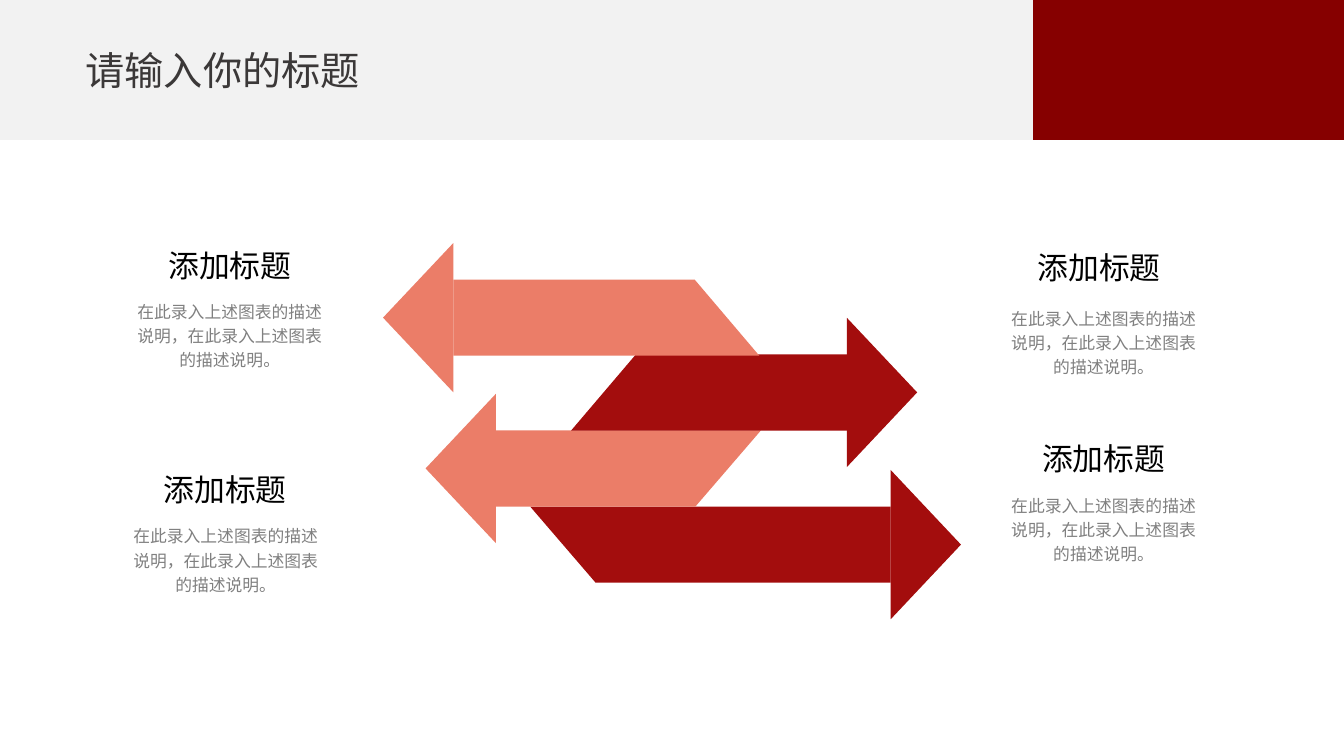
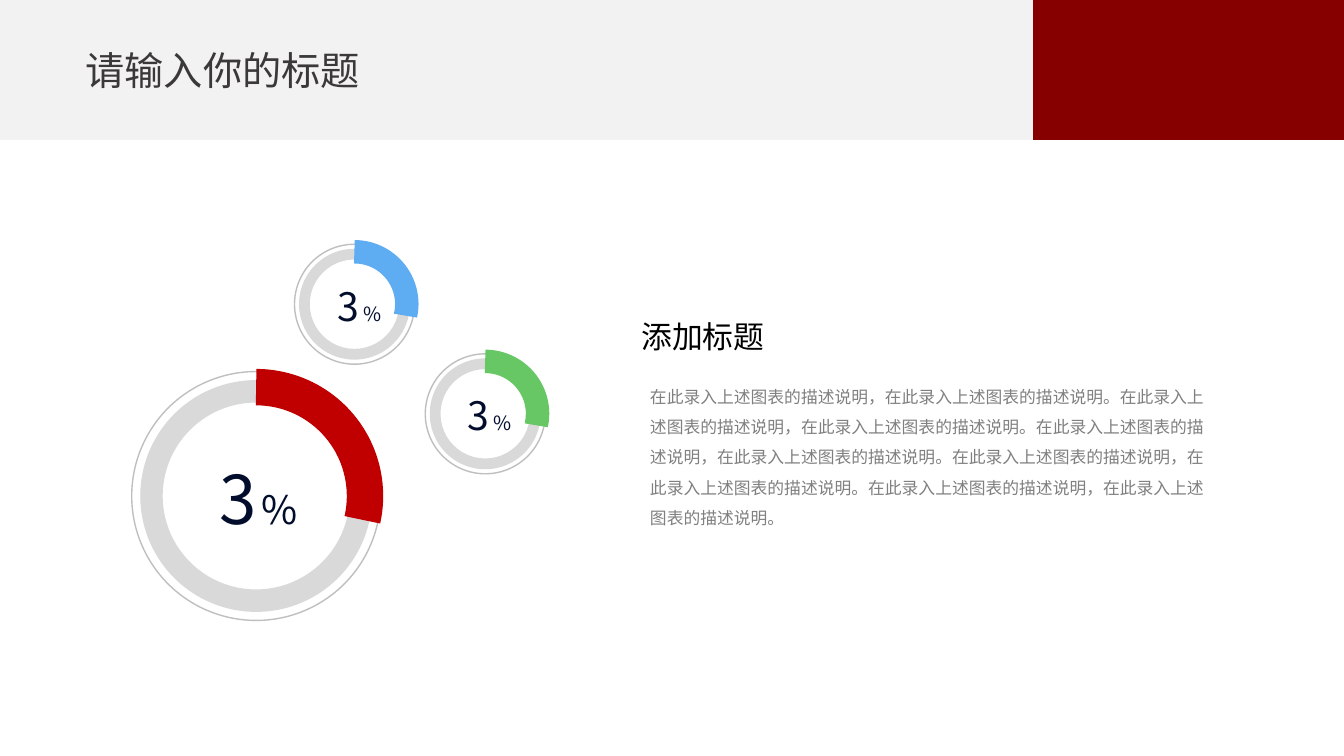
from dataclasses import dataclass

from pptx import Presentation
from pptx.dml.color import RGBColor
from pptx.enum.shapes import MSO_SHAPE
from pptx.enum.text import MSO_ANCHOR, PP_ALIGN
from pptx.oxml.ns import qn
from pptx.util import Pt

COLORS = {
    "band": "F2F2F2",
    "accent": "860000",
    "title": "3B3838",
    "heading": "000000",
    "body": "808080",
    "number": "020D2C",
    "track": "D9D9D9",
    "outline": "BFBFBF",
    "salmon": "EB7D68",
    "crimson": "A30D0D",
    "red": "C00000",
    "blue": "5EACF1",
    "green": "68C765",
}
LATIN_FONT = "Arial"
CHINESE_FONT = "Noto Sans CJK SC"
SLIDE_WIDTH, SLIDE_HEIGHT = 960, 540
BAND_HEIGHT = 100
ACCENT_LEFT = 738
TITLE = "请输入你的标题"
HEADING = "添加标题"
SENTENCE = "在此录入上述图表的描述说明，在此录入上述图表的描述说明。"

BODY_HALF, HEAD_HALF, HEAD_LENGTH = 27.2, 53.3, 50.2


@dataclass(frozen=True)
class Arrow:
    middle: float
    tip: float
    tail_top: float
    tail_bottom: float
    color: str


@dataclass(frozen=True)
class Caption:
    heading_left: float
    heading_top: float
    body_left: float
    body_top: float


@dataclass(frozen=True)
class Gauge:
    center_x: float
    center_y: float
    outline: float
    track: float
    arc: float
    arc_width: float
    color: str
    number_box: tuple[float, float, float, float]
    number_size: float
    percent_size: float


ARROWS = [
    Arrow(226.9, 273.6, 496.2, 542.4, "salmon"),
    Arrow(280.3, 655.1, 454.3, 408, "crimson"),
    Arrow(334.6, 304, 543.6, 496.8, "salmon"),
    Arrow(389, 686.4, 378.7, 425.5, "crimson"),
]
CAPTIONS = [
    Caption(103, 172.8, 86.4, 209.2),
    Caption(99.7, 332.6, 83.5, 369.4),
    Caption(723.9, 174.2, 710.6, 213.8),
    Caption(727.2, 310.6, 710.6, 347.4),
]
GAUGES = [
    Gauge(183, 354.3, 177.8, 165.6, 155.5, 26, "red", (157, 326.9, 79.2, 58.3), 48, 28),
    Gauge(253.2, 217.3, 85.7, 79.2, 74.9, 16.75, "blue", (240.9, 201.6, 38.2, 33.8), 28, 14),
    Gauge(346.6, 295.6, 85.7, 79.2, 74.9, 16.75, "green", (334.1, 279.8, 38.2, 33.8), 28, 14),
]


def rgb(name: str) -> RGBColor:
    return RGBColor.from_string(COLORS[name])


def write_text(box, text: str, *, size: float, color: str, font: str = LATIN_FONT,
               align=PP_ALIGN.LEFT, spacing: float = 1, anchor=MSO_ANCHOR.TOP,
               tracking: float = 0, margins: tuple[float, float] = (7.2, 3.6)):
    frame = box.text_frame
    frame.word_wrap = True
    frame.vertical_anchor = anchor
    frame.margin_left = frame.margin_right = Pt(margins[0])
    frame.margin_top = frame.margin_bottom = Pt(margins[1])
    para = frame.paragraphs[0]
    para.alignment = align
    para.line_spacing = spacing
    span = para.add_run()
    span.text = text
    span.font.size = Pt(size)
    span.font.name = font
    span.font.color.rgb = rgb(color)
    properties = span.font._element
    if tracking:
        properties.set("spc", str(int(tracking * 100)))
    if font == CHINESE_FONT:
        east_asian = properties.makeelement(qn("a:ea"), {"typeface": font})
        properties.find(qn("a:latin")).addnext(east_asian)


def add_text(page, left: float, top: float, width: float, height: float, text: str, **style):
    box = page.shapes.add_textbox(Pt(left), Pt(top), Pt(width), Pt(height))
    write_text(box, text, **style)
    return box


def style_shape(shape, fill: str = "", line: str = "", line_width: float = 1):
    shape.shadow.inherit = False
    if fill:
        shape.fill.solid()
        shape.fill.fore_color.rgb = rgb(fill)
    else:
        shape.fill.background()
    if line:
        shape.line.color.rgb = rgb(line)
        shape.line.width = Pt(line_width)
    else:
        shape.line.fill.background()


def add_centered(page, kind, gauge: Gauge, size: float, **style):
    shape = page.shapes.add_shape(kind, Pt(gauge.center_x - size / 2),
                                  Pt(gauge.center_y - size / 2), Pt(size), Pt(size))
    style_shape(shape, **style)
    return shape


def add_polygon(page, points: list[tuple[float, float]], color: str):
    start, *corners = [(Pt(x), Pt(y)) for x, y in points]
    builder = page.shapes.build_freeform(*start)
    builder.add_line_segments(corners, close=True)
    style_shape(builder.convert_to_shape(), fill=color)


def move_bands_to_layout(page, layout):
    tree = layout.shapes.element
    bands = [(0, SLIDE_WIDTH, "band"), (ACCENT_LEFT, SLIDE_WIDTH - ACCENT_LEFT, "accent")]
    for position, (left, width, color) in enumerate(bands):
        band = page.shapes.add_shape(MSO_SHAPE.RECTANGLE, Pt(left), 0, Pt(width), Pt(BAND_HEIGHT))
        style_shape(band, fill=color)
        tree.insert(2 + position, band.element)


def add_page(deck, layout):
    page = deck.slides.add_slide(layout)
    title = page.shapes.title
    title.left, title.top, title.width, title.height = Pt(54), Pt(29.5), Pt(250), Pt(41)
    write_text(title, TITLE, size=28, color="title", font=CHINESE_FONT, anchor=MSO_ANCHOR.MIDDLE)
    return page


def add_heading(page, left: float, top: float):
    add_text(page, left, top, 122.4, 33.8, HEADING, size=22, color="heading",
             align=PP_ALIGN.CENTER)


def add_arrow(page, arrow: Arrow):
    direction = 1 if arrow.tip < arrow.tail_top else -1
    neck = arrow.tip + direction * HEAD_LENGTH
    middle = arrow.middle
    top, bottom = middle - BODY_HALF, middle + BODY_HALF
    body = [(neck, top), (arrow.tail_top, top), (arrow.tail_bottom, bottom), (neck, bottom)]
    head = [(arrow.tip, middle), (neck, middle - HEAD_HALF), (neck, middle + HEAD_HALF)]
    for points in (body, head):
        add_polygon(page, points, arrow.color)


def add_caption(page, caption: Caption):
    add_heading(page, caption.heading_left, caption.heading_top)
    add_text(page, caption.body_left, caption.body_top, 155.5, 59, SENTENCE, size=12,
             color="body", align=PP_ALIGN.CENTER, spacing=1.2)


def add_gauge(page, gauge: Gauge):
    add_centered(page, MSO_SHAPE.OVAL, gauge, gauge.outline, line="outline")
    track = add_centered(page, MSO_SHAPE.DONUT, gauge, gauge.track, fill="track")
    track.adjustments[0] = 0.097
    number = add_text(page, *gauge.number_box, "3", size=gauge.number_size, color="number",
                      font=CHINESE_FONT, tracking=3, margins=(0, 0))
    write_text(number, "%", size=gauge.percent_size, color="number", font=CHINESE_FONT,
               tracking=3, margins=(0, 0))
    arc = add_centered(page, MSO_SHAPE.ARC, gauge, gauge.arc, line=gauge.color,
                       line_width=gauge.arc_width)
    arc.adjustments[0] = 162
    arc.adjustments[1] = 7.58


def build_arrow_page(page):
    for arrow in reversed(ARROWS):
        add_arrow(page, arrow)
    for caption in CAPTIONS:
        add_caption(page, caption)


def build_gauge_page(page):
    for gauge in GAUGES:
        add_gauge(page, gauge)
    add_heading(page, 440.9, 223.2)
    add_text(page, 457.2, 265.4, 416.9, 133.2, SENTENCE * 5, size=12, color="body", spacing=1.5)


def main():
    deck = Presentation()
    deck.slide_width, deck.slide_height = Pt(SLIDE_WIDTH), Pt(SLIDE_HEIGHT)
    layout = deck.slide_layouts.get_by_name("Title Only")
    arrow_page = add_page(deck, layout)
    move_bands_to_layout(arrow_page, layout)
    build_arrow_page(arrow_page)
    build_gauge_page(add_page(deck, layout))
    deck.save("out.pptx")


if __name__ == "__main__":
    main()
